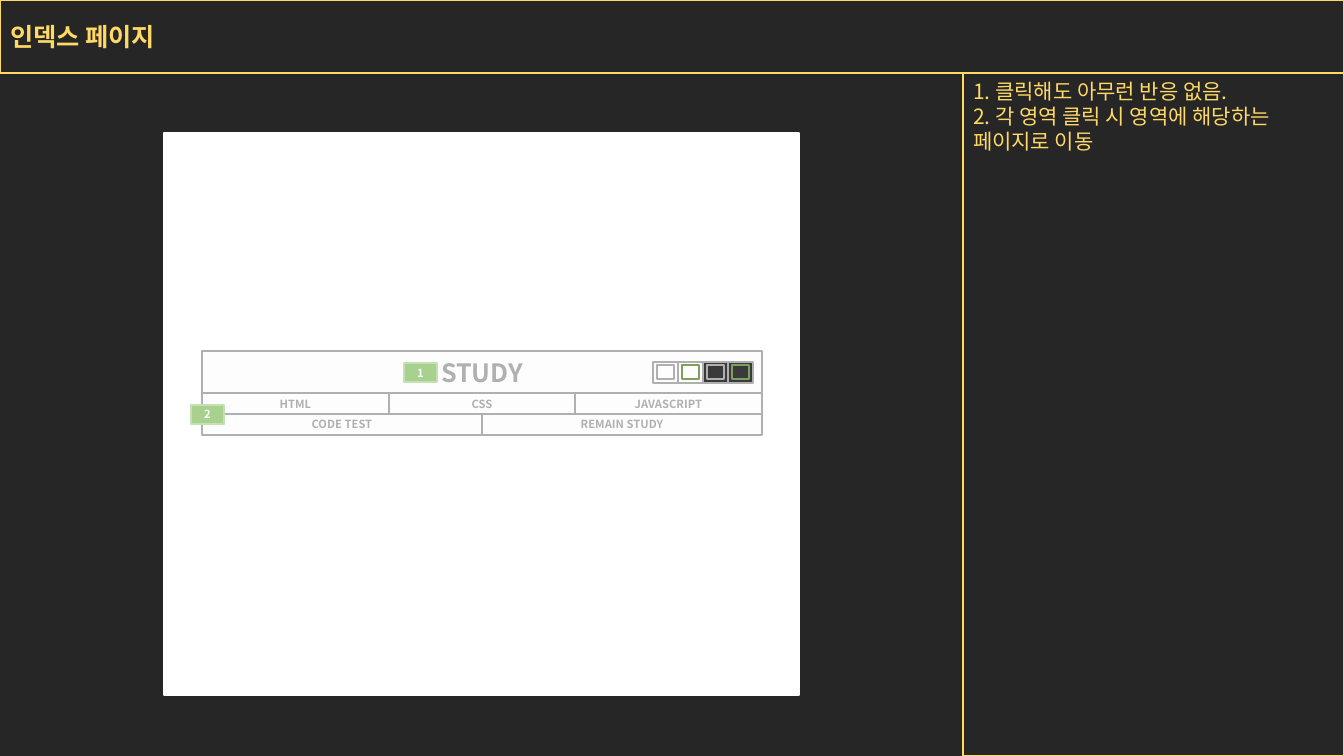
from dataclasses import dataclass

from lxml import etree
from pptx import Presentation
from pptx.dml.color import RGBColor
from pptx.enum.shapes import MSO_SHAPE
from pptx.enum.text import MSO_ANCHOR, MSO_AUTO_SIZE, PP_ALIGN
from pptx.oxml.ns import qn
from pptx.util import Emu, Pt

RECTANGLE = MSO_SHAPE.RECTANGLE
TOP, MIDDLE = MSO_ANCHOR.TOP, MSO_ANCHOR.MIDDLE
LEFT, CENTER = PP_ALIGN.LEFT, PP_ALIGN.CENTER
NO_AUTOFIT = MSO_AUTO_SIZE.NONE

SLIDE_WIDTH, SLIDE_HEIGHT = 1344, 756
EMU_PER_PX = 12192000 / SLIDE_WIDTH
FONT = "Noto Sans CJK KR"

DARK = RGBColor(0x26, 0x26, 0x26)
YELLOW = RGBColor(0xFF, 0xD9, 0x66)
WHITE = RGBColor(0xFF, 0xFF, 0xFF)
PANEL = RGBColor(0xFD, 0xFD, 0xFD)
GRAY = RGBColor(0xB0, 0xB0, 0xB0)
CHARCOAL = RGBColor(0x3A, 0x3A, 0x3A)
GREEN = RGBColor(0xA9, 0xD1, 0x8E)
PALE_GREEN = RGBColor(0xC5, 0xE0, 0xB4)
OLIVE = RGBColor(0x7E, 0xA0, 0x5F)


@dataclass(frozen=True)
class Area:
    left: int
    top: int
    width: int
    height: int


@dataclass(frozen=True)
class Box:
    area: Area
    fill: RGBColor = PANEL
    line: RGBColor = GRAY
    text: str = ""
    size: int = 8
    color: RGBColor = GRAY


HEADER = Area(0, 0, SLIDE_WIDTH, 73)
SIDEBAR = Area(963, 73, SLIDE_WIDTH - 963, SLIDE_HEIGHT - 73)
PAGE = Area(164, 133, 635, 562)
MENU = Area(202, 351, 560, 42)
ROW_HEIGHT = 21
MENU_ROWS = [["HTML", "CSS", "JAVASCRIPT"], ["CODE TEST", "REMAIN STUDY"]]
BADGES = [("1", 404, 363), ("2", 191, 405)]
SWATCHES = [(PANEL, GRAY), (PANEL, OLIVE), (CHARCOAL, GRAY), (CHARCOAL, OLIVE)]
SWATCH_LEFT, SWATCH_TOP, SWATCH_WIDTH = 653, 362, 25
NOTES = ["1. 클릭해도 아무런 반응 없음.", "2. 각 영역 클릭 시 영역에 해당하는 페이지로 이동"]


def px(length: int) -> Emu:
    return Emu(round(length * EMU_PER_PX))


def paint(shape, fill: RGBColor, line: RGBColor) -> None:
    shape.fill.solid()
    shape.fill.fore_color.rgb = fill
    shape.line.color.rgb = line
    shape.line.width = Pt(1)


def add_run(paragraph, text: str, size: int, color: RGBColor, bold: bool) -> None:
    run = paragraph.add_run()
    run.text = text
    run.font.size = Pt(size)
    run.font.bold = bold
    run.font.color.rgb = color
    run.font.name = FONT
    latin = run.font._element.find(qn("a:latin"))
    east_asian = etree.Element(qn("a:ea"))
    east_asian.set("typeface", FONT)
    latin.addnext(east_asian)


def fill_placeholder(shape, area: Area, texts: list[str], size: int, bold: bool, anchor) -> None:
    shape.left, shape.top = px(area.left), px(area.top)
    shape.width, shape.height = px(area.width), px(area.height)
    paint(shape, DARK, YELLOW)
    frame = shape.text_frame
    frame.word_wrap = True
    frame.auto_size = NO_AUTOFIT
    frame.vertical_anchor = anchor
    for index, text in enumerate(texts):
        paragraph = frame.add_paragraph() if index else frame.paragraphs[0]
        paragraph.alignment = LEFT
        paragraph.space_before = Pt(0)
        properties = paragraph._p.get_or_add_pPr()
        properties.set("marL", "0")
        properties.set("indent", "0")
        etree.SubElement(properties, qn("a:buNone"))
        add_run(paragraph, text, size, YELLOW, bold)


def draw_box(slide, box: Box) -> None:
    area = box.area
    shape = slide.shapes.add_shape(
        RECTANGLE, px(area.left), px(area.top), px(area.width), px(area.height)
    )
    shape.shadow.inherit = False
    paint(shape, box.fill, box.line)
    if box.text:
        shape.text_frame.vertical_anchor = MIDDLE
        paragraph = shape.text_frame.paragraphs[0]
        paragraph.alignment = CENTER
        add_run(paragraph, box.text, box.size, box.color, True)


def menu_boxes() -> list[Box]:
    boxes = [Box(MENU, text="STUDY", size=18)]
    for row, labels in enumerate(MENU_ROWS):
        top = MENU.top + MENU.height + row * ROW_HEIGHT
        edges = [MENU.left + round(MENU.width * i / len(labels)) for i in range(len(labels) + 1)]
        for label, left, right in zip(labels, edges, edges[1:]):
            boxes.append(Box(Area(left, top, right - left, ROW_HEIGHT), text=label))
    return boxes


def badge_boxes() -> list[Box]:
    return [
        Box(Area(left, top, 33, 19), GREEN, PALE_GREEN, number, color=WHITE)
        for number, left, top in BADGES
    ]


def swatch_boxes() -> list[Box]:
    outer, inner = [], []
    for index, (fill, line) in enumerate(SWATCHES):
        left = SWATCH_LEFT + index * SWATCH_WIDTH
        outer.append(Box(Area(left, SWATCH_TOP, SWATCH_WIDTH, 21), fill))
        inner.append(Box(Area(left + 4, SWATCH_TOP + 3, 17, 14), fill, line))
    return outer + inner


def main() -> None:
    presentation = Presentation()
    presentation.slide_width = px(SLIDE_WIDTH)
    presentation.slide_height = px(SLIDE_HEIGHT)
    slide = presentation.slides.add_slide(presentation.slide_layouts[1])
    slide.background.fill.solid()
    slide.background.fill.fore_color.rgb = DARK

    fill_placeholder(slide.shapes.title, HEADER, ["인덱스 페이지"], 18, True, MIDDLE)
    fill_placeholder(slide.placeholders[1], SIDEBAR, NOTES, 15, False, TOP)
    page = Box(PAGE, WHITE, WHITE)
    for box in [page, *menu_boxes(), *badge_boxes(), *swatch_boxes()]:
        draw_box(slide, box)

    presentation.save("out.pptx")


if __name__ == "__main__":
    main()
